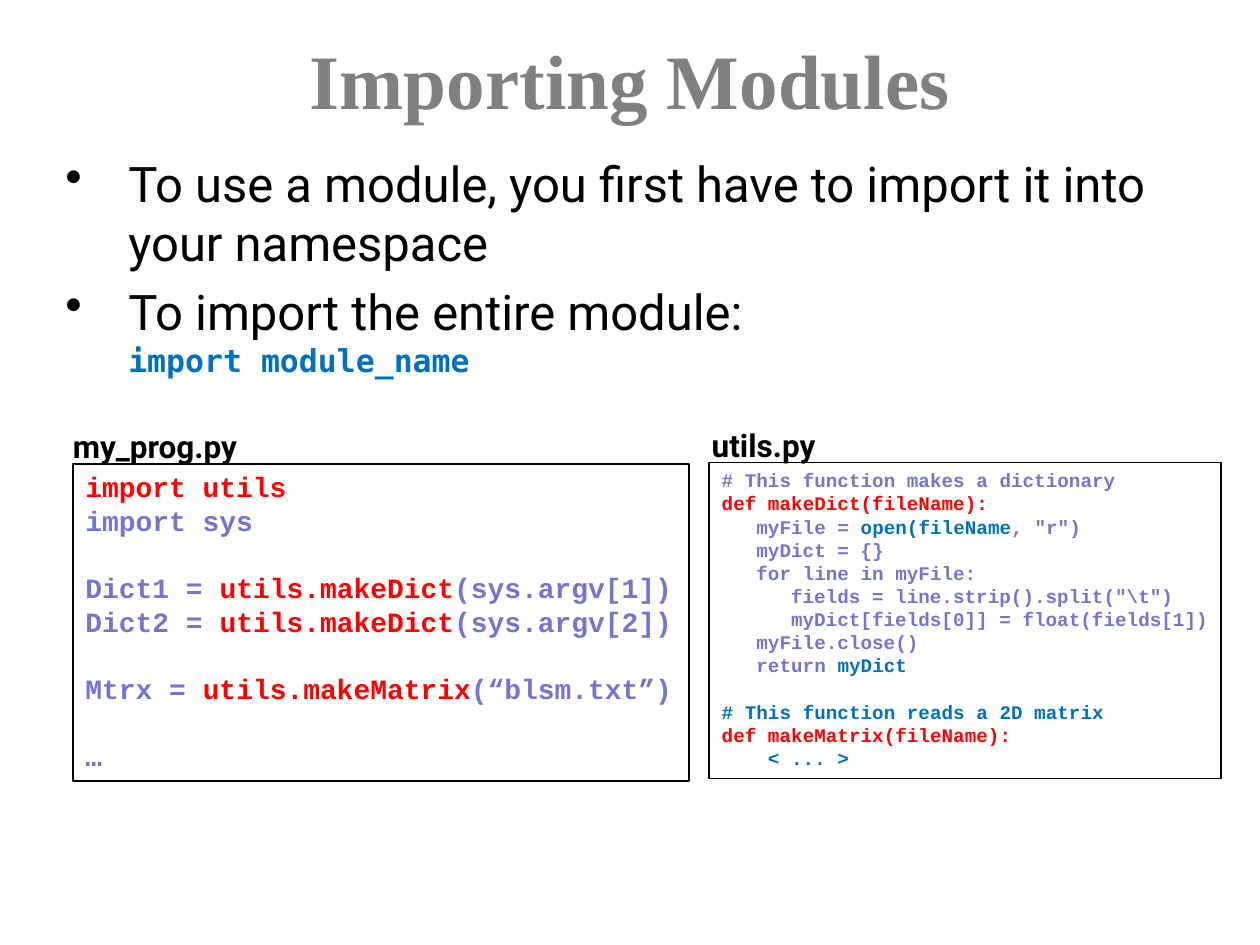
from lxml.etree import SubElement
from pptx import Presentation
from pptx.dml.color import RGBColor
from pptx.enum.shapes import MSO_SHAPE
from pptx.enum.text import MSO_ANCHOR, PP_ALIGN
from pptx.oxml.ns import qn
from pptx.util import Inches, Pt

BLACK, GREY, WHITE = "000000", "808080", "FFFFFF"
VIOLET, RED, BLUE = "7575D1", "FF0000", "0070C0"
LINE_HEIGHT = 1.2
CHAR_WIDTH = 0.6


def rgb(value):
    return RGBColor.from_string(value)


def add_text(paragraph, text, size=18, font="Roboto", color=BLACK, bold=False):
    run = paragraph.add_run()
    run.text = text
    run.font.size = Pt(size)
    run.font.name = font
    run.font.color.rgb = rgb(color)
    run.font.bold = bold


presentation = Presentation()
presentation.slide_width = Inches(10)
presentation.slide_height = Inches(7.5)
slide = presentation.slides.add_slide(presentation.slide_layouts[6])

title = slide.shapes.add_textbox(0, 0, Inches(10), Inches(1.25)).text_frame
title.word_wrap = True
title.vertical_anchor = MSO_ANCHOR.MIDDLE
title.paragraphs[0].alignment = PP_ALIGN.CENTER
add_text(title.paragraphs[0], "Importing Modules", size=44,
         font="Times New Roman", color=GREY, bold=True)

advice = slide.shapes.add_textbox(
    Inches(0.42), Inches(1.17), Inches(9.17), Inches(0.95)).text_frame
advice.word_wrap = True
points = [
    ("To use a module, you first have to import it into your namespace", None),
    ("To import the entire module:", "import module_name"),
]
for index, (point, statement) in enumerate(points):
    paragraph = advice.add_paragraph() if index else advice.paragraphs[0]
    paragraph.space_after = Pt(6)
    properties = paragraph._p.get_or_add_pPr()
    properties.set("marL", str(Inches(0.5)))
    properties.set("indent", str(-Inches(0.5)))
    bullet_color = SubElement(properties, qn("a:buClr"))
    SubElement(bullet_color, qn("a:srgbClr"), val=BLACK)
    SubElement(properties, qn("a:buChar"), char="•")
    add_text(paragraph, point, size=28)
    if statement:
        paragraph.add_line_break()
        add_text(paragraph, statement, font="DejaVu Sans Mono", color=BLUE, bold=True)

utils_code = [
    (0, 0, [("# This function makes a dictionary", VIOLET)]),
    (0, 0, [("def makeDict(fileName):", RED)]),
    (3, 0, [("myFile = ", VIOLET), ("open(fileName", BLUE), (', "r")', VIOLET)]),
    (3, 0, [("myDict = {}", VIOLET)]),
    (3, 0, [("for line in myFile:", VIOLET)]),
    (6, 0, [('fields = line.strip().split("\\t")', VIOLET)]),
    (6, 0, [("myDict[fields[0]] = float(fields[1])", VIOLET)]),
    (3, 0, [("myFile.close()", VIOLET)]),
    (3, 0, [("return ", VIOLET), ("myDict", BLUE)]),
    (0, 1, [("# This function reads a 2D matrix", BLUE)]),
    (0, 0, [("def makeMatrix(fileName):", RED)]),
    (4, 0, [("< ... >", BLUE)]),
]
program_code = [
    (0, 0, [("import utils", RED)]),
    (0, 0, [("import sys", VIOLET)]),
    (0, 1, [("Dict1 = ", VIOLET), ("utils.makeDict", RED), ("(sys.argv[1])", VIOLET)]),
    (0, 0, [("Dict2 = ", VIOLET), ("utils.makeDict", RED), ("(sys.argv[2])", VIOLET)]),
    (0, 1, [("Mtrx = ", VIOLET), ("utils.makeMatrix", RED), ("(“blsm.txt”)", VIOLET)]),
    (0, 1, [("…", VIOLET)]),
]
listings = [
    ("utils.py", (5.55, 3.33, 1.09, 0.4), (5.63, 3.67, 4.06, 2.51), 0, 11, utils_code),
    ("my_prog.py", (0.48, 3.34, 1.63, 0.4), (0.58, 3.68, 4.89, 2.52), 0.1, 16, program_code),
]
for file_name, name_area, code_area, right_margin, size, code in listings:
    group = slide.shapes.add_group_shape()
    panel = group.shapes.add_shape(MSO_SHAPE.RECTANGLE, *map(Inches, code_area))
    panel.shadow.inherit = False
    panel.fill.solid()
    panel.fill.fore_color.rgb = rgb(WHITE)
    panel.line.color.rgb = rgb(BLACK)
    panel.line.width = Pt(1)
    frame = panel.text_frame
    frame.word_wrap = True
    frame.vertical_anchor = MSO_ANCHOR.TOP
    frame.margin_right = Inches(right_margin)
    for index, (indent, gap_lines, parts) in enumerate(code):
        paragraph = frame.add_paragraph() if index else frame.paragraphs[0]
        paragraph.alignment = PP_ALIGN.LEFT
        paragraph.space_before = Pt(gap_lines * size * LINE_HEIGHT)
        properties = paragraph._p.get_or_add_pPr()
        properties.set("marL", str(Pt(indent * size * CHAR_WIDTH)))
        for text, color in parts:
            add_text(paragraph, text, size=size, font="Courier New", color=color, bold=True)

    caption = group.shapes.add_textbox(*map(Inches, name_area)).text_frame
    caption.word_wrap = False
    add_text(caption.paragraphs[0], file_name, bold=True)

presentation.save("out.pptx")
